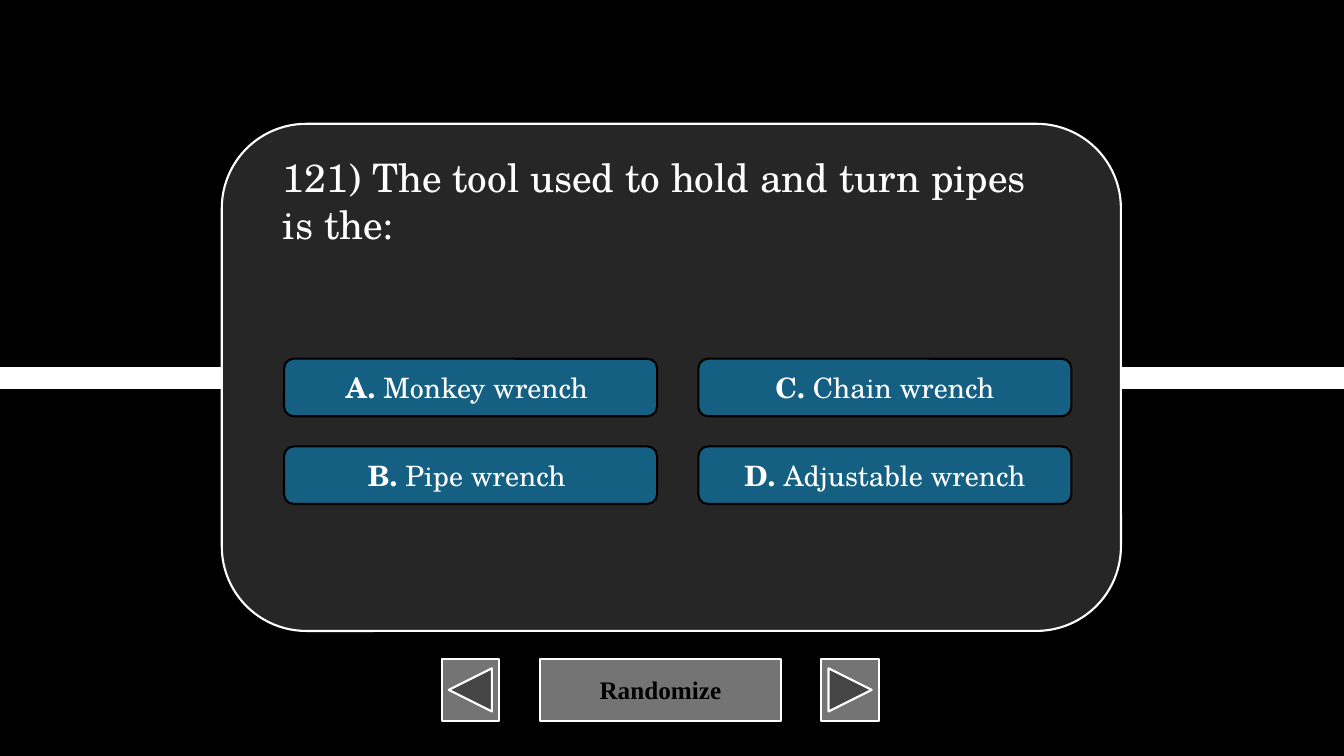
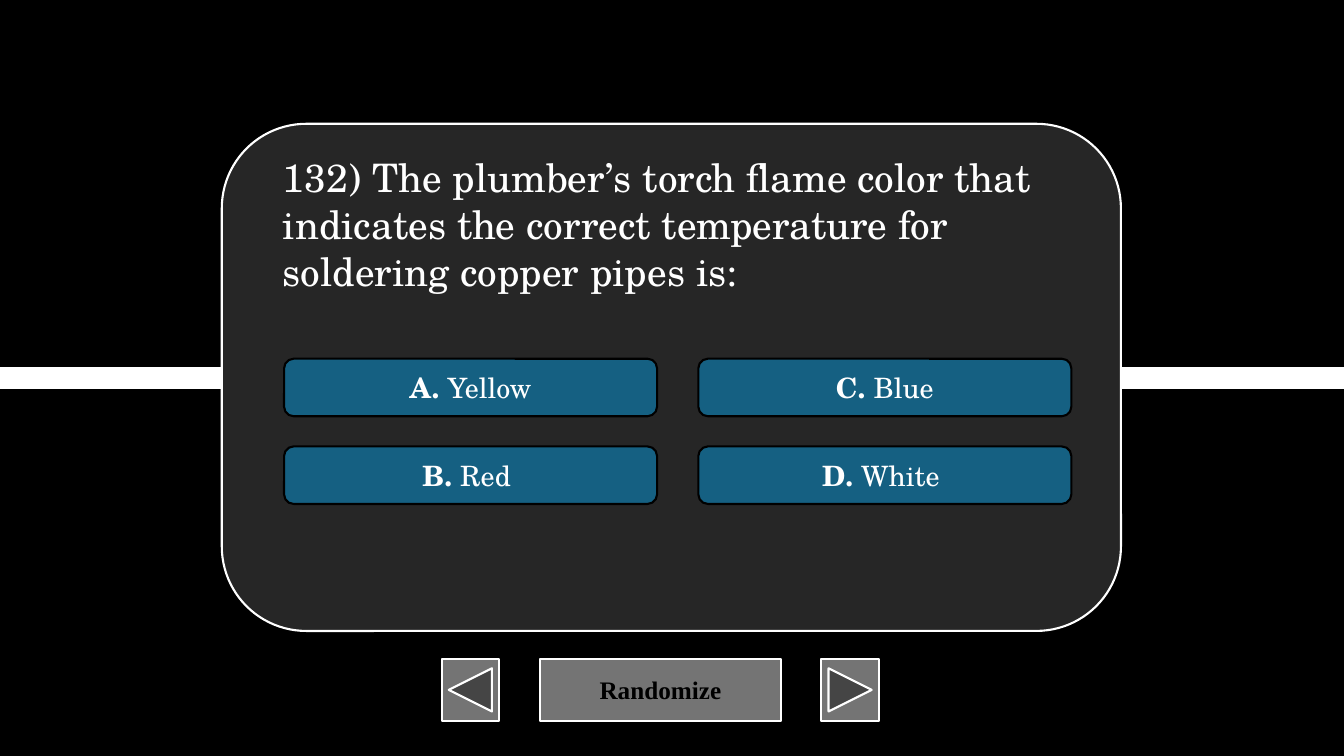
from lxml import etree
from pptx import Presentation
from pptx.dml.color import RGBColor
from pptx.enum import shapes, text
from pptx.oxml import ns
from pptx.util import Cm, Pt

BLACK, WHITE = "000000", "FFFFFF"
CARD_GRAY, BUTTON_GRAY, ANSWER_BLUE = "262626", "747474", "156082"
QUIZ_FONT, BUTTON_FONT = "TeX Gyre Schola", "Times New Roman"
SHAPE = shapes.MSO_SHAPE

BUTTON_TOP, BUTTON_HEIGHT = 16.61, 1.55
ANSWER_LEFT, ANSWER_TOP, ANSWER_WIDTH, ANSWER_HEIGHT = 7.16, 9.04, 9.4, 1.45
COLUMN_STEP, ROW_STEP = 10.44, 2.21

QUESTIONS = [
    ("121) The tool used to hold and turn pipes is the:", 2.64,
     ["Monkey wrench ", "Pipe wrench ", "Chain wrench", "Adjustable wrench"]),
    ("132) The plumber’s torch flame color that indicates the correct "
     "temperature for soldering copper pipes is:", 3.84,
     ["Yellow", "Red ", "Blue", "White "]),
]


def paint(color_format, color):
    color_format.rgb = RGBColor.from_string(color)


def add_panel(page, kind, left, top, width, height, fill, outline):
    """Add a filled, outlined shape placed in centimetres."""
    panel = page.shapes.add_shape(kind, Cm(left), Cm(top), Cm(width), Cm(height))
    panel.shadow.inherit = False
    panel.fill.solid()
    paint(panel.fill.fore_color, fill)
    paint(panel.line.color, outline)
    panel.line.width = Pt(1.5)
    panel.text_frame.vertical_anchor = text.MSO_ANCHOR.MIDDLE
    panel.text_frame.paragraphs[0].alignment = text.PP_ALIGN.CENTER
    return panel


deck = Presentation()
deck.slide_width, deck.slide_height = Cm(33.87), Cm(19.05)
backdrop = deck.slide_master.background.fill
backdrop.solid()
paint(backdrop.fore_color, BLACK)

for question, question_height, answers in QUESTIONS:
    page = deck.slides.add_slide(deck.slide_layouts[6])

    middle = deck.slide_height // 2
    band = page.shapes.add_connector(
        shapes.MSO_CONNECTOR.STRAIGHT, 0, middle, deck.slide_width, middle)
    paint(band.line.color, WHITE)
    band.line.width = Pt(16)
    etree.SubElement(band._element.spPr, ns.qn("a:effectLst"))

    for kind, left, width, label in [
        (SHAPE.ACTION_BUTTON_CUSTOM, 13.61, 6.07, "Randomize"),
        (SHAPE.ACTION_BUTTON_BACK_OR_PREVIOUS, 11.13, 1.45, None),
        (SHAPE.ACTION_BUTTON_FORWARD_OR_NEXT, 20.7, 1.45, None),
    ]:
        button = add_panel(page, kind, left, BUTTON_TOP, width, BUTTON_HEIGHT,
                           BUTTON_GRAY, WHITE)
        if label:
            para = button.text_frame.paragraphs[0]
            para.text = label
            para.font.name, para.font.size, para.font.bold = BUTTON_FONT, Pt(18), True
            paint(para.font.color, BLACK)

    add_panel(page, SHAPE.ROUNDED_RECTANGLE, 5.59, 3.12, 22.66, 12.78, CARD_GRAY, WHITE)

    for index, answer in enumerate(answers):
        column, row = divmod(index, 2)
        box = add_panel(page, SHAPE.ROUNDED_RECTANGLE,
                        ANSWER_LEFT + column * COLUMN_STEP, ANSWER_TOP + row * ROW_STEP,
                        ANSWER_WIDTH, ANSWER_HEIGHT, ANSWER_BLUE, BLACK)
        para = box.text_frame.paragraphs[0]
        para.font.name, para.font.size = QUIZ_FONT, Pt(20)
        paint(para.font.color, WHITE)
        for words, bold in [(f"{'ABCD'[index]}. ", True), (answer, False)]:
            span = para.add_run()
            span.text = words
            span.font.bold = bold

    box = page.shapes.add_textbox(Cm(6.88), Cm(3.73), Cm(20.12), Cm(question_height))
    box.text_frame.word_wrap = True
    box.text_frame.auto_size = text.MSO_AUTO_SIZE.SHAPE_TO_FIT_TEXT
    para = box.text_frame.paragraphs[0]
    para.text = question
    para.font.name, para.font.size = QUIZ_FONT, Pt(28)
    paint(para.font.color, WHITE)

deck.save("out.pptx")
